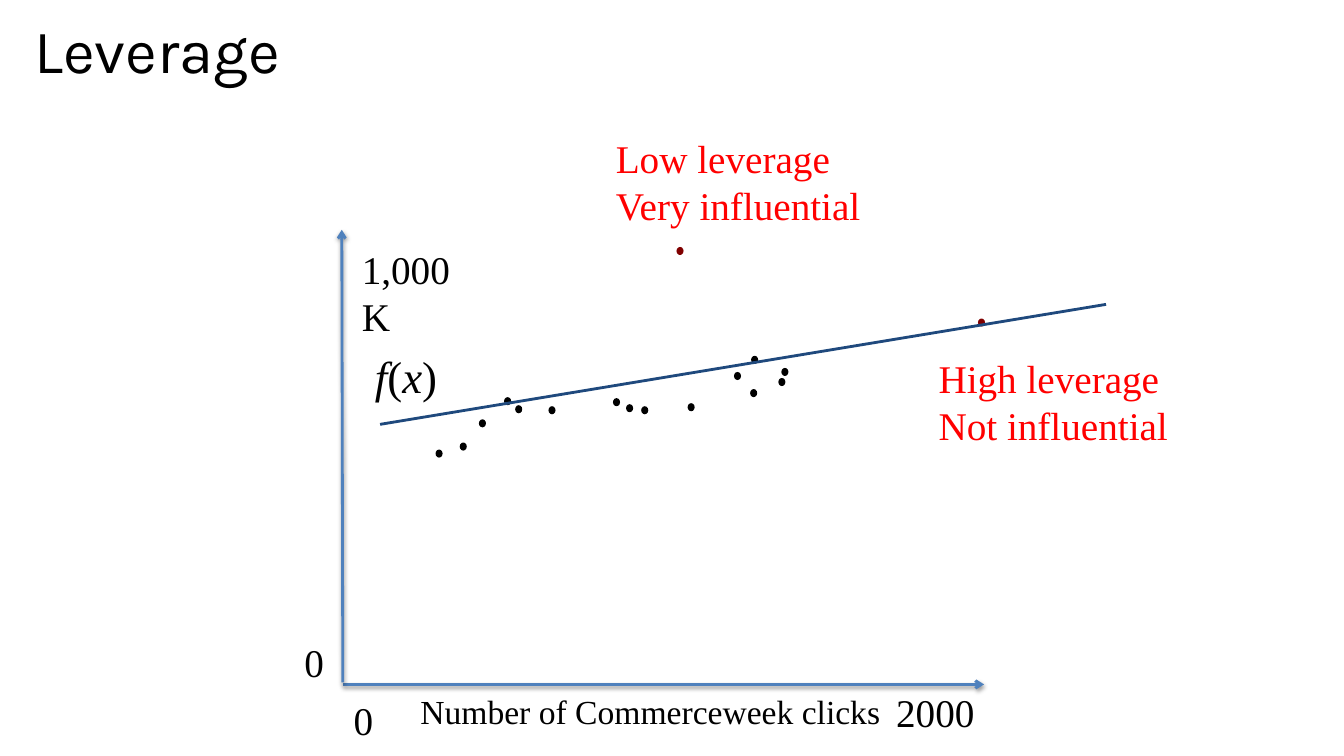
from lxml import etree
from pptx import Presentation
from pptx.dml.color import RGBColor
from pptx.enum import shapes, text
from pptx.oxml import parse_xml
from pptx.oxml.ns import nsdecls, qn
from pptx.util import Inches, Pt

BLACK = RGBColor(0x00, 0x00, 0x00)
RED = RGBColor(0xFF, 0x00, 0x00)
MAROON = RGBColor(0x80, 0x00, 0x00)
AXIS_BLUE = RGBColor(0x4F, 0x81, 0xBD)
FIT_BLUE = RGBColor(0x1F, 0x49, 0x7D)

DOT_W, DOT_H = 0.07, 0.08
CLICK_DOTS = [
    (0.92, 2.16), (1.16, 2.09), (1.35, 1.86), (1.60, 1.64), (1.71, 1.72),
    (2.04, 1.73), (2.68, 1.65), (2.81, 1.71), (2.96, 1.73), (3.42, 1.70),
    (3.88, 1.39), (4.04, 1.56), (4.05, 1.23), (4.32, 1.45), (4.35, 1.35),
]
OUTLIER_DOTS = [(3.31, 0.15), (6.30, 0.86)]
AXIS_LABELS = [
    ("0", 0.01, 4.56, 0.4, 0.57, 28, False),
    ("2000", 5.39, 4.48, 1.0, 0.57, 28, False),
    ("Number of Commerceweek clicks", 0.67, 4.51, 5.62, 0.5, 24, True),
    ("0", -0.48, 3.98, 0.4, 0.57, 28, False),
    ("1,000K", 0.09, 0.08, 1.3, 0.57, 28, True),
]
NOTES = [
    ("Low leverage\nVery influential", 2.61, -1.02, 2.66, 1.04),
    ("High leverage\nNot influential", 5.81, 1.17, 2.52, 1.04),
]
SHADOW = (
    f'<a:effectLst {nsdecls("a")}><a:outerShdw blurRad="39370" dist="20320" '
    'dir="5400000" rotWithShape="0"><a:srgbClr val="000000">'
    '<a:alpha val="38000"/></a:srgbClr></a:outerShdw></a:effectLst>'
)


def add_title(s, left, top, width, height):
    title = s.shapes.title
    title.left, title.top = Inches(left), Inches(top)
    title.width, title.height = Inches(width), Inches(height)
    tf = title.text_frame
    tf.text = "Leverage"
    tf.vertical_anchor = text.MSO_ANCHOR.TOP
    tf.auto_size = text.MSO_AUTO_SIZE.NONE
    p = tf.paragraphs[0]
    p.alignment = text.PP_ALIGN.LEFT
    p.line_spacing = 0.8
    p.font.name, p.font.size = "Karla", Pt(44)
    p.font.color.rgb = BLACK


def add_label(s, label, left, top, width, height, size, wrap=False, color=BLACK):
    box = s.shapes.add_textbox(Inches(left), Inches(top), Inches(width), Inches(height))
    tf = box.text_frame
    tf.text = label
    tf.word_wrap = wrap
    tf.auto_size = text.MSO_AUTO_SIZE.SHAPE_TO_FIT_TEXT
    for p in tf.paragraphs:
        p.font.name, p.font.size = "Times New Roman", Pt(size)
        p.font.color.rgb = color
    return tf


def add_line(s, x1, y1, x2, y2, color, axis=False):
    line = s.shapes.add_connector(
        shapes.MSO_CONNECTOR.STRAIGHT, Inches(x1), Inches(y1), Inches(x2), Inches(y2))
    line.line.color.rgb = color
    line.line.width = Pt(2)
    props = line._element.spPr
    if axis:
        etree.SubElement(line.line._get_or_add_ln(), qn("a:tailEnd"), type="arrow")
        props.append(parse_xml(SHADOW))
    else:
        etree.SubElement(props, qn("a:effectLst"))


def add_dots(s, left, top, dots, color):
    for x, y in dots:
        dot = s.shapes.add_shape(
            shapes.MSO_SHAPE.OVAL, Inches(left + x), Inches(top + y),
            Inches(DOT_W), Inches(DOT_H))
        dot.shadow.inherit = False
        dot.fill.solid()
        dot.fill.fore_color.rgb = color
        dot.line.fill.background()


def add_axes(s, left, top, width, height):
    bottom = top + height
    add_line(s, left, bottom, left + width, bottom, AXIS_BLUE, axis=True)
    add_line(s, left, bottom - 0.02, left - 0.01, top - 0.02, AXIS_BLUE, axis=True)
    for label, x, y, w, h, size, wrap in AXIS_LABELS:
        add_label(s, label, left + x, top + y, w, h, size, wrap)


def add_plot(s, left, top, width, height):
    add_axes(s, left, top, width, height)
    add_dots(s, left, top, CLICK_DOTS, BLACK)
    add_dots(s, left, top, OUTLIER_DOTS, MAROON)
    add_line(s, left + 0.37, top + 1.91, left + 7.57, top + 0.72, FIT_BLUE)
    for note, x, y, w, h in NOTES:
        add_label(s, note, left + x, top + y, w, h, 28, color=RED)
    p = add_label(s, "", left + 0.22, top + 1.11, 0.89, 0.64, 32).paragraphs[0]
    for symbol in "f(x)":
        r = p.add_run()
        r.text = symbol
        r.font.italic = symbol.isalpha()


def main():
    prs = Presentation()
    prs.slide_width, prs.slide_height = Inches(13.33), Inches(7.5)
    s = prs.slides.add_slide(prs.slide_layouts[5])
    add_title(s, 0.24, 0.21, 12.6, 1.16)
    add_plot(s, 3.4, 2.3, 6.36, 4.49)
    prs.save("out.pptx")


if __name__ == "__main__":
    main()
